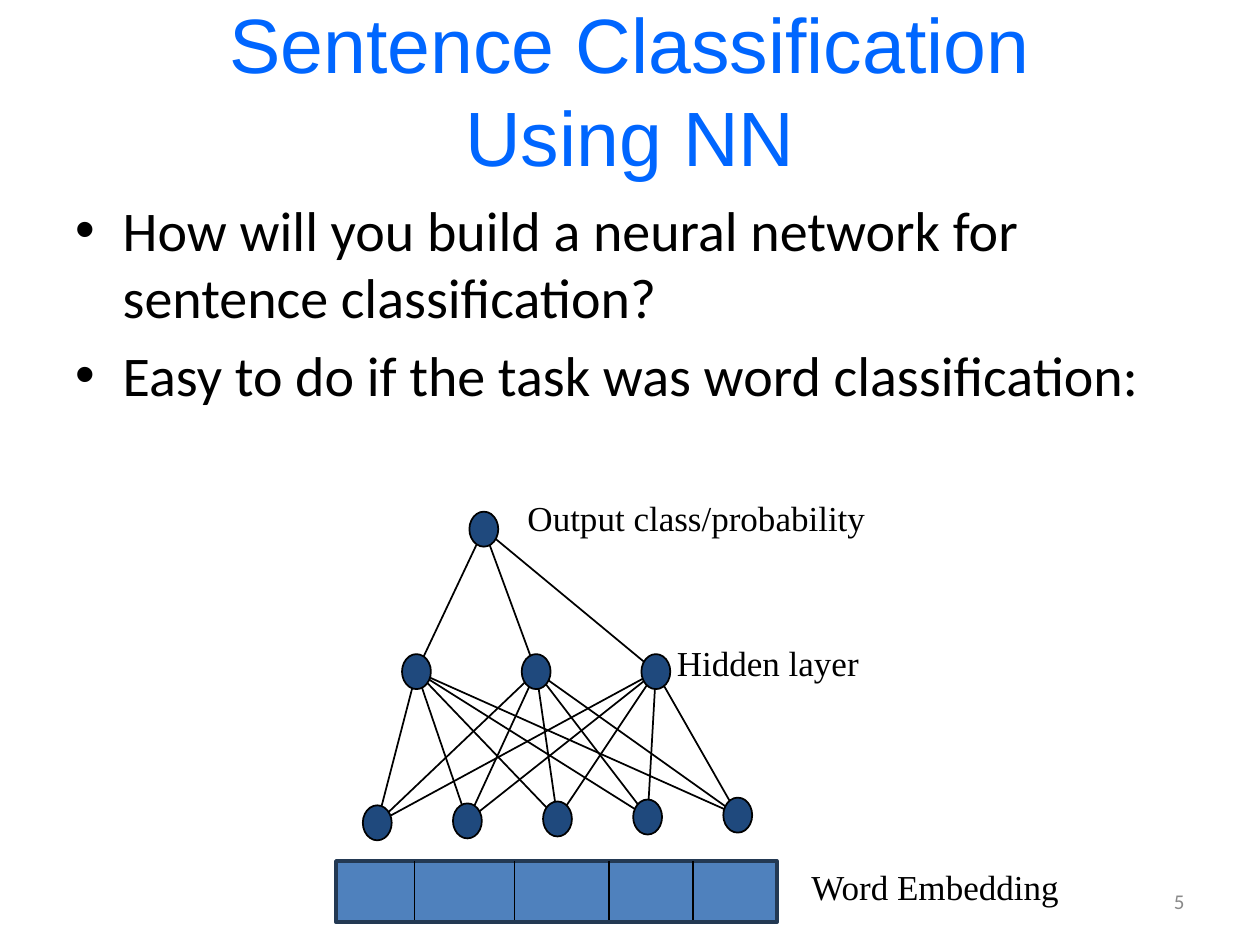
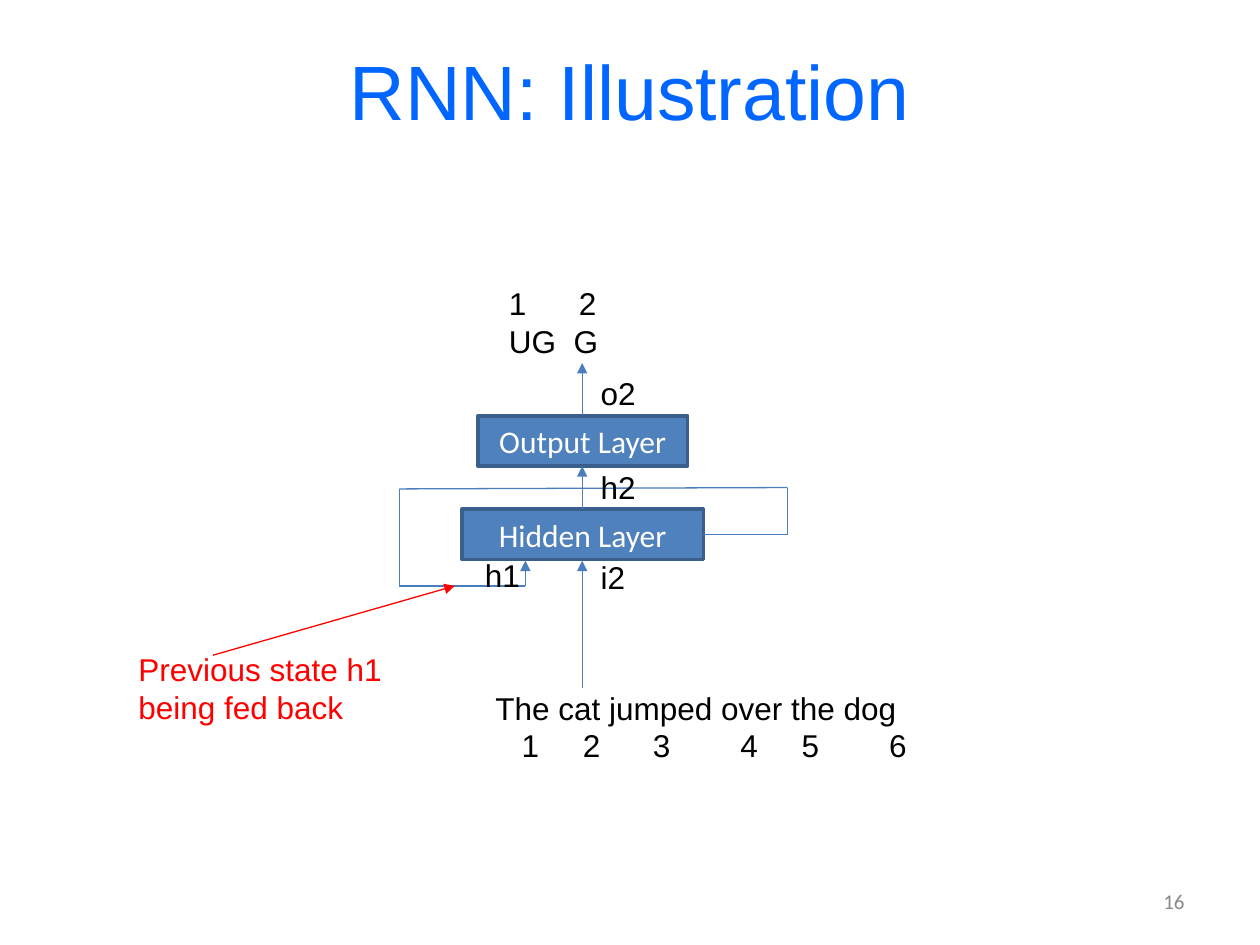
from itertools import pairwise, product
from lxml.etree import SubElement
from pptx import Presentation
from pptx.dml.color import RGBColor
from pptx.enum.shapes import MSO_CONNECTOR, MSO_SHAPE
from pptx.enum.text import MSO_ANCHOR, MSO_AUTO_SIZE, PP_ALIGN
from pptx.oxml.ns import qn
from pptx.util import Pt

BLACK, WHITE, RED, GREY = "000000", "FFFFFF", "FF0000", "898989"
TITLE, NAVY, BLUE, WIRE = "0066FF", "1F497D", "4F81BD", "4B7EBC"
LEFT, MID, RIGHT = PP_ALIGN.LEFT, PP_ALIGN.CENTER, PP_ALIGN.RIGHT
SERIF = "Times New Roman"


def paint(part, color):
    """Give a fill or font colour part a solid hex colour."""
    part.rgb = RGBColor.from_string(color)


def write(frame, lines, size, font, color, align=LEFT):
    """Write one paragraph per line, with vertical tabs as line breaks."""
    for i, line in enumerate(lines):
        para = frame.paragraphs[0] if i == 0 else frame.add_paragraph()
        para.alignment = align
        for j, piece in enumerate(line.split("\v")):
            if j:
                para.add_line_break()
            run = para.add_run()
            run.text = piece
            run.font.size, run.font.name = Pt(size), font
            paint(run.font.color, color)


def text(slide, box, lines, size, font, color, align=LEFT, anchor=MSO_ANCHOR.TOP):
    """Add a wrapping text box and return its frame."""
    frame = slide.shapes.add_textbox(*map(Pt, box)).text_frame
    frame.word_wrap, frame.vertical_anchor = True, anchor
    write(frame, lines, size, font, color, align)
    return frame


def label(slide, box, lines, size=18, font="Arial", color=BLACK, align=LEFT):
    """Add a text box that fits its unwrapped text."""
    frame = text(slide, box, lines, size, font, color, align)
    frame.word_wrap, frame.auto_size = False, MSO_AUTO_SIZE.SHAPE_TO_FIT_TEXT
    return frame


def tabs(frame, row, stops):
    """Set the tab stops, in points, of one paragraph."""
    props = frame.paragraphs[row]._p.get_or_add_pPr()
    group = SubElement(props, qn("a:tabLst"))
    for stop in stops:
        SubElement(group, qn("a:tab"), pos=str(Pt(stop)), algn="l")


def shape(slide, kind, box, fill, edge, width):
    """Add a filled and outlined preset shape."""
    item = slide.shapes.add_shape(kind, *map(Pt, box))
    item.shadow.inherit = False
    item.fill.solid()
    paint(item.fill.fore_color, fill)
    paint(item.line.color, edge)
    item.line.width = Pt(width)
    return item


def line(slide, start, end, color, width=0.75, arrow=False):
    """Draw a straight line, with an arrowhead at its end if asked."""
    item = slide.shapes.add_connector(MSO_CONNECTOR.STRAIGHT, *map(Pt, (*start, *end)))
    paint(item.line.color, color)
    item.line.width = Pt(width)
    if arrow:
        SubElement(item.line._get_or_add_ln(), qn("a:tailEnd"), type="triangle")
    SubElement(item._element.spPr, qn("a:effectLst"))


def base(deck, title, number):
    """Add a blank slide with its title and number."""
    slide = deck.slides.add_slide(deck.slide_layouts[6])
    text(slide, (36, 6, 648, 90), [title], 44, "Arial", TITLE, MID, MSO_ANCHOR.MIDDLE)
    text(slide, (516, 500.5, 168, 28.75), [number], 12, "Calibri", GREY, RIGHT, MSO_ANCHOR.MIDDLE)
    return slide


def points(slide, box, lines):
    """Add the bulleted body text."""
    frame = text(slide, box, lines, 32, "Calibri", BLACK)
    for para in frame.paragraphs:
        para.space_before = Pt(6.4)
        props = para._p.get_or_add_pPr()
        props.set("marL", str(Pt(27)))
        props.set("indent", str(Pt(-27)))
        SubElement(props, qn("a:buFont"), typeface="Arial")
        SubElement(props, qn("a:buChar"), char="•")


def net(slide, box):
    """Draw the layered network above its word embedding."""
    x, y, wide, high = box
    top = [(x + 84.5, y + 22.4)]
    hidden = [(x + 46 + 68.4 * i, y + 103.8) for i in range(3)]
    inputs = [(x + 23.6 + 51.5 * i, y + 190.2 - 1.1 * i) for i in range(5)]
    for upper, lower in pairwise((top, hidden, inputs)):
        for start, end in product(upper, lower):
            line(slide, start, end, BLACK, 1)
    for cx, cy in top + hidden + inputs:
        shape(slide, MSO_SHAPE.OVAL, (cx - 8.25, cy - 10, 16.5, 20), NAVY, BLACK, 1)
    bar = y + high - 35
    shape(slide, MSO_SHAPE.RECTANGLE, (x, bar, wide, 35), BLUE, "233953", 2)
    for dx in (45, 102, 156, 204):
        line(slide, (x + dx, bar), (x + dx, bar + 34), BLACK)
    for dx, dy, width, words in (
        (102, 0, 208, "Output class/probability"),
        (187.4, 83, 118.8, "Hidden layer"),
        (263.8, 211, 157, "Word Embedding"),
    ):
        label(slide, (x + dx, y + dy, width, 31.7), [words], 20, SERIF, BLACK, MID)


def cell(slide, box):
    """Draw the recurrent cell with its feedback loop."""
    x, y, wide, high = box

    def at(dx, dy):
        """Shift a point into the box."""
        return x + dx, y + dy

    for dx, dy, width, words in (
        (192, 132, 138, "Hidden Layer"),
        (201, 78.6, 120, "Output Layer"),
    ):
        item = shape(slide, MSO_SHAPE.RECTANGLE, (*at(dx, dy), width, 28.8), BLUE, "3A5F8C", 2)
        item.text_frame.vertical_anchor = MSO_ANCHOR.MIDDLE
        write(item.text_frame, [words], 18, "Calibri", WHITE, MID)
    for low, tip in ((78, 48.4), (234, 161.4), (132, 107.4)):
        line(slide, at(260.7, low), at(260.7, tip), WIRE, arrow=True)
    loop = [(330, 146.3), (378, 146.3), (378, 119.6), (156.2, 120.4),
            (156.2, 175.8), (228.2, 175.8), (228.2, 161.4)]
    for start, end in pairwise(loop):
        line(slide, at(*start), at(*end), WIRE, arrow=end == loop[-1])
    for dx, dy, words in ((264.2, 105.2, "h2"), (264.2, 51.2, "o2"),
                          (264.2, 156.4, "i2"), (198, 155, "h1")):
        label(slide, (*at(dx, dy), 34.6, 28.8), [words])
    line(slide, at(49.7, 215.4), at(187.9, 175.8), RED, arrow=True)
    label(slide, (*at(0, 209), 159.8, 51), ["Previous state h1", "being fed back"], color=RED)
    tags = text(slide, (*at(211.7, 0), 66.2, 51), ["1\t2", "UG\tG"], 18, "Arial", BLACK)
    tabs(tags, 0, [40])
    tabs(tags, 1, [37])
    words = ["The cat jumped over the dog", "\t1\t2\t3\t4\t5\t6"]
    tabs(text(slide, (*at(wide - 252, high - 51), 252, 51), words, 18, "Arial", BLACK),
         1, [15, 50, 90, 140, 175, 225])


def main():
    """Build and save both slides."""
    deck = Presentation()
    deck.slide_width, deck.slide_height = Pt(720), Pt(540)
    slide = base(deck, "Sentence Classification\vUsing NN", "5")
    points(slide, (36, 108, 648, 408), [
        "How will you build a neural network for sentence classification?",
        "Easy to do if the task was word classification:",
    ])
    net(slide, (192, 280, 252, 247))
    cell(base(deck, "RNN: Illustration", "16"), (72, 159, 456, 282))
    deck.save("out.pptx")


main()
